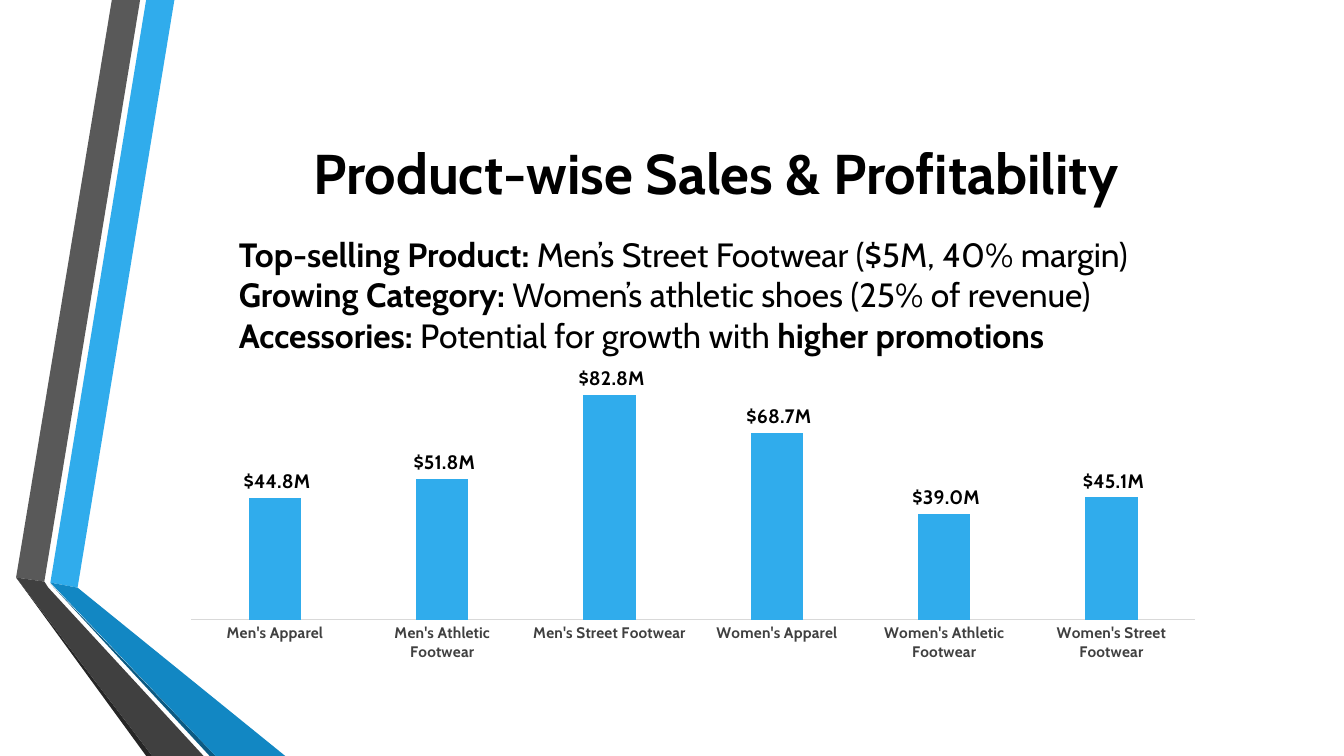
"""Build a slide on product sales with a column chart and a folded ribbon."""
from pptx import Presentation
from pptx.chart.data import CategoryChartData
from pptx.dml.color import RGBColor
from pptx.enum.chart import XL_CHART_TYPE as ChartType
from pptx.enum.chart import XL_LABEL_POSITION as LabelPosition
from pptx.enum.chart import XL_TICK_LABEL_POSITION as TickLabels
from pptx.enum.chart import XL_TICK_MARK as TickMark
from pptx.enum.text import MSO_ANCHOR as Anchor
from pptx.enum.text import PP_ALIGN as Align
from pptx.util import Inches, Pt

TITLE = "Product-wise Sales & Profitability"
POINTS = [
    [("Top-selling Product:", True), (" Men’s Street Footwear ($5M, 40% margin)", False)],
    [("Growing Category:", True), (" Women’s athletic shoes (25% of revenue)", False)],
    [("Accessories:", True), (" Potential for growth with ", False),
     ("higher promotions", True)],
]
SALES = {
    "Men's Apparel": 44800000,
    "Men's Athletic Footwear": 51800000,
    "Men's Street Footwear": 82800000,
    "Women's Apparel": 68700000,
    "Women's Athletic Footwear": 39000000,
    "Women's Street Footwear": 45100000,
}
MONEY = '[>=1000000]\\ "$"#,##0.0,,"M";[>0]"$"#,##'
AXIS_TOP = 90000000

THEME = {
    "font": "Cabin",
    "text": "000000", "axis_text": "404040", "axis_line": "D9D9D9",
    "blue": "30ACEC", "blue_fold": "1287C3", "blue_edge": "0C5A82",
    "gray": "595959", "gray_fold": "404040", "gray_edge": "262626",
    "title": 40, "body": 24, "label": 14, "category": 11, "chart": 10,
}

UNIT = Inches(0.01)
WIDTH, HEIGHT = 1333, 750
RIBBON = [
    ("blue", [(50, 578), (77, 583), (173, 0), (145, 0)]),
    ("gray", [(139, 0), (111, 0), (16, 573), (44, 577)]),
    ("gray_edge", [(16, 573), (145, HEIGHT), (151, HEIGHT)]),
    ("blue_edge", [(50, 579), (208, HEIGHT), (214, HEIGHT)]),
    ("blue_fold", [(50, 578), (214, HEIGHT), (283, HEIGHT), (77, 583)]),
    ("gray_fold", [(202, HEIGHT), (48, 583), (44, 577), (16, 573), (151, HEIGHT)]),
]
TITLE_BOX = (162, 75, 1096, 192)
BODY_BOX = (227, 171, 1096, 342)
BODY_BOTTOM_INSET = 105
CHART_BOX = (169, 364, 1037, 298)


def color(name):
    return RGBColor.from_string(THEME[name])


def scaled(box):
    return [UNIT * length for length in box]


def assign(target, values):
    for name, value in values.items():
        setattr(target, name, value)


def style_font(font, size, tone="text", bold=False):
    assign(font, {"name": THEME["font"], "size": Pt(THEME[size]), "bold": bold})
    font.color.rgb = color(tone)


def draw_ribbon(page):
    for tone, corners in RIBBON:
        builder = page.shapes.build_freeform(*corners[0], scale=UNIT)
        builder.add_line_segments(corners[1:], close=True)
        band = builder.convert_to_shape()
        band.shadow.inherit = False
        band.fill.solid()
        band.fill.fore_color.rgb = color(tone)
        band.line.fill.background()


def write_title(page):
    title = page.shapes.title
    assign(title, dict(zip(("left", "top", "width", "height"), scaled(TITLE_BOX))))
    assign(title.text_frame, {"word_wrap": True, "vertical_anchor": Anchor.MIDDLE})
    para = title.text_frame.paragraphs[0]
    para.alignment = Align.CENTER
    span = para.add_run()
    span.text = TITLE
    style_font(span.font, "title", bold=True)


def write_points(page):
    frame = page.shapes.add_textbox(*scaled(BODY_BOX)).text_frame
    assign(frame, {"word_wrap": True, "vertical_anchor": Anchor.MIDDLE,
                   "margin_bottom": UNIT * BODY_BOTTOM_INSET})
    para = frame.paragraphs[0]
    for index, line in enumerate(POINTS):
        if index:
            para.add_line_break()
        for text, bold in line:
            span = para.add_run()
            span.text = text
            style_font(span.font, "body", bold=bold)


def draw_chart(page):
    data = CategoryChartData()
    data.categories = list(SALES)
    data.add_series("Series 1", list(SALES.values()))
    chart = page.shapes.add_chart(
        ChartType.COLUMN_CLUSTERED, *scaled(CHART_BOX), data).chart
    assign(chart, {"has_legend": False, "has_title": False})
    style_font(chart.font, "chart")

    assign(chart.value_axis, {"visible": False, "has_major_gridlines": False,
                              "minimum_scale": 0, "maximum_scale": AXIS_TOP})
    axis = chart.category_axis
    assign(axis, {"major_tick_mark": TickMark.NONE, "minor_tick_mark": TickMark.NONE,
                  "tick_label_position": TickLabels.NEXT_TO_AXIS})
    style_font(axis.tick_labels.font, "category", "axis_text", True)
    axis.format.line.color.rgb = color("axis_line")
    axis.format.line.width = Pt(0.75)

    plot = chart.plots[0]
    assign(plot, {"gap_width": 219, "overlap": -27, "vary_by_categories": False})
    series = plot.series[0]
    series.format.fill.solid()
    series.format.fill.fore_color.rgb = color("blue")
    labels = series.data_labels
    assign(labels, {"show_value": True, "position": LabelPosition.OUTSIDE_END,
                    "number_format": MONEY, "number_format_is_linked": False})
    style_font(labels.font, "label", bold=True)


def main():
    deck = Presentation()
    assign(deck, {"slide_width": UNIT * WIDTH, "slide_height": UNIT * HEIGHT})
    page = deck.slides.add_slide(deck.slide_layouts.get_by_name("Title Only"))
    draw_ribbon(page)
    write_title(page)
    write_points(page)
    draw_chart(page)
    deck.save("out.pptx")


if __name__ == "__main__":
    main()
